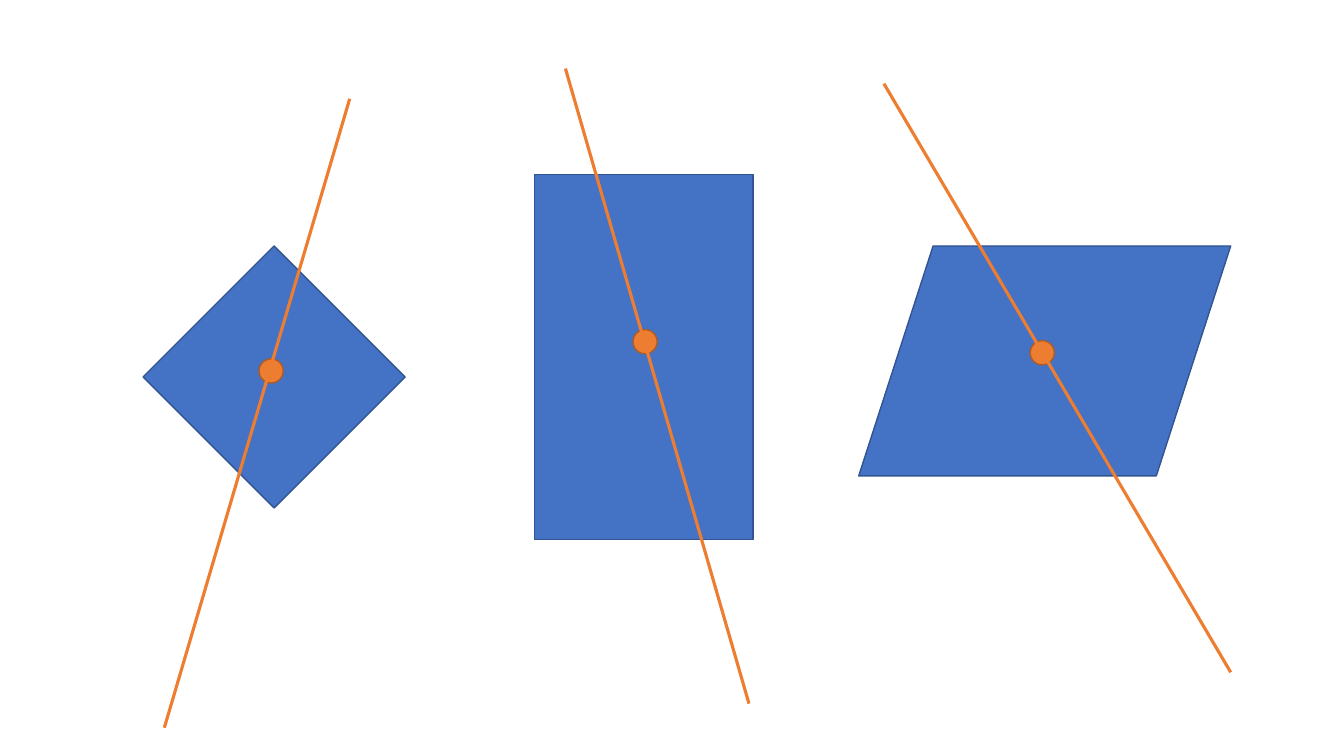
"""Draw three shapes, each cut by a line through a marked point."""
import pptx
import pptx.util
import pptx.dml.color
import pptx.enum.shapes
import pptx.oxml.xmlchemy
import lxml.etree

Pt = pptx.util.Pt
Kind = pptx.enum.shapes.MSO_SHAPE

SIZE = (960, 540)
THEME = {
    "shape": ("4472C4", "325491"),
    "dot": ("ED7D31", "AF5C24"),
    "cut": "ED7D31",
    "edge": 1,
    "stroke": 2.25,
    "dot_size": 17.3,
}
FORMS = [
    (Kind.FLOWCHART_DATA, (613.4, 175.7, 265.7, 164.2)),
    (Kind.RECTANGLE, (381.6, 124.6, 156.2, 260.6)),
    (Kind.DIAMOND, (102.2, 175.7, 187.2, 187.2)),
]
CUTS = [
    {"dot": (460.8, 244.1), "line": (403.9, 49, 535, 502.6)},
    {"dot": (744.5, 252), "line": (631.4, 59.8, 879.1, 480.2)},
    {"dot": (193.7, 265), "line": (249.8, 70.6, 117.4, 519.8)},
]


def color(code):
    return pptx.dml.color.RGBColor.from_string(code)


def add_form(slide, kind, box, look):
    form = slide.shapes.add_shape(kind, *map(Pt, box))
    fill, edge = THEME[look]
    form.shadow.inherit = False
    form.fill.solid()
    form.fill.fore_color.rgb = color(fill)
    form.line.color.rgb = color(edge)
    form.line.width = Pt(THEME["edge"])


def add_dot(slide, mid):
    size = THEME["dot_size"]
    left, top = (pos - size / 2 for pos in mid)
    add_form(slide, Kind.OVAL, (left, top, size, size), "dot")


def add_cut(slide, ends):
    kind = pptx.enum.shapes.MSO_CONNECTOR.STRAIGHT
    cut = slide.shapes.add_connector(kind, *map(Pt, ends))
    cut.line.color.rgb = color(THEME["cut"])
    cut.line.width = Pt(THEME["stroke"])
    props = cut._element.spPr
    lxml.etree.SubElement(props, pptx.oxml.ns.qn("a:effectLst"))


deck = pptx.Presentation()
deck.slide_width, deck.slide_height = map(Pt, SIZE)
slide = deck.slides.add_slide(deck.slide_layouts[6])
for kind, box in FORMS:
    add_form(slide, kind, box, "shape")
for cut in CUTS:
    add_dot(slide, cut["dot"])
    add_cut(slide, cut["line"])
deck.save("out.pptx")
